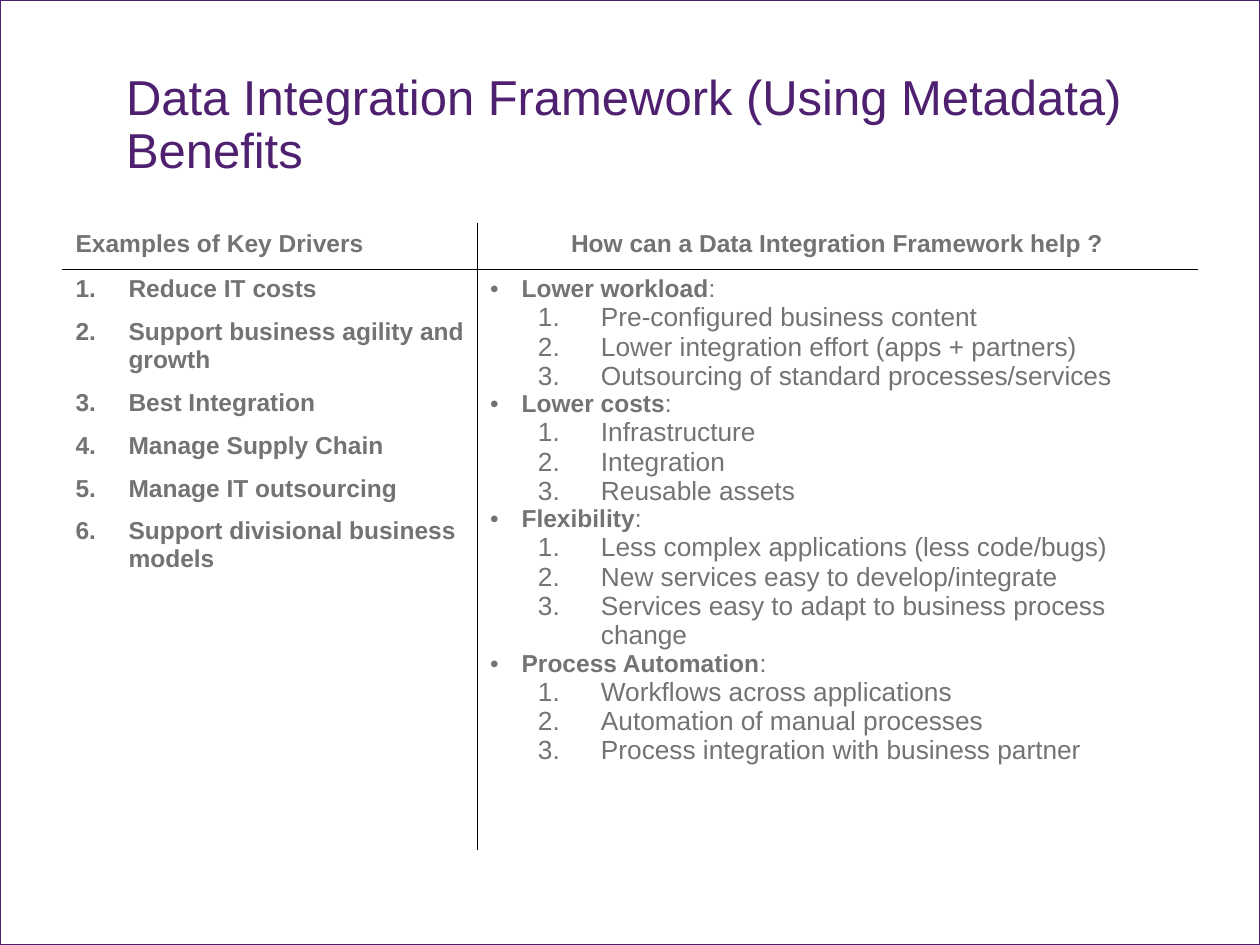
from lxml import etree
from pptx import Presentation, util as u
from pptx.dml.color import RGBColor
from pptx.enum import shapes, text
from pptx.oxml.ns import qn

COLORS = {"purple": "4F2070", "gray": "737373", "rule": "000000"}
DRIVERS = [
    "Reduce IT costs", "Support business agility and growth", "Best Integration",
    "Manage Supply Chain", "Manage IT outsourcing", "Support divisional business models",
]
BENEFITS = {
    "Lower workload": ["Pre-configured business content",
                       "Lower integration effort (apps + partners)",
                       "Outsourcing of standard processes/services"],
    "Lower costs": ["Infrastructure", "Integration", "Reusable assets"],
    "Flexibility": ["Less complex applications (less code/bugs)",
                    "New services easy to develop/integrate",
                    "Services easy to adapt to business process change"],
    "Process Automation": ["Workflows across applications",
                           "Automation of manual processes",
                           "Process integration with business partner"],
}
NUMBER = ("buAutoNum", {"type": "arabicPeriod"})
DOT = ("buChar", {"char": "•"})


class SlideBuilder:
    font = "Arial"

    def __init__(self, width, height):
        self.deck = Presentation()
        self.deck.slide_width, self.deck.slide_height = u.Inches(width), u.Inches(height)
        self.slide = self.deck.slides.add_slide(self.deck.slide_layouts[5])

    def area(self, left, top, width, height):
        """Turn shares of the slide into lengths."""
        w, h = self.deck.slide_width, self.deck.slide_height
        return int(left * w), int(top * h), int(width * w), int(height * h)

    def run(self, paragraph, wording, color, size, bold=False):
        run = paragraph.add_run()
        run.text = wording
        for key, value in {"name": self.font, "size": u.Pt(size), "bold": bold}.items():
            setattr(run.font, key, value)
        run.font.color.rgb = RGBColor.from_string(COLORS[color])

    def frame(self):
        border = self.slide.shapes.add_shape(
            shapes.MSO_SHAPE.RECTANGLE, *self.area(0, 0, 1, 1))
        border.shadow.inherit = False
        border.fill.background()
        border.line.color.rgb = RGBColor.from_string(COLORS["purple"])
        border.line.width = u.Pt(0.75)

    def title(self, wording, place):
        title = self.slide.shapes.title
        title.left, title.top, title.width, title.height = self.area(*place)
        body = title.text_frame
        for key, value in {"margin_left": 0, "margin_top": 0, "margin_right": 0,
                           "margin_bottom": 0, "word_wrap": True,
                           "auto_size": text.MSO_AUTO_SIZE.NONE,
                           "vertical_anchor": text.MSO_ANCHOR.TOP}.items():
            setattr(body, key, value)
        heading = body.paragraphs[0]
        heading.alignment, heading.line_spacing = text.PP_ALIGN.LEFT, 0.9
        self.run(heading, wording, "purple", 28)

    def table(self, place, widths, heights):
        grid = self.slide.shapes.add_table(
            len(heights), len(widths), *self.area(*place)).table
        grid.first_row = grid.horz_banding = False
        for column, share in zip(grid.columns, widths):
            column.width = int(share * self.deck.slide_width)
        for row, share in zip(grid.rows, heights):
            row.height = int(share * self.deck.slide_height)
        for r in range(len(heights)):
            for c in range(len(widths)):
                cell = grid.cell(r, c)
                cell.fill.background()
                self.rules(cell, ["R" if c == 0 else "L", "B" if r == 0 else "T"])
        return grid

    def rules(self, cell, sides):
        """Draw the inner borders of a cell, in the order the schema asks for."""
        properties = cell._tc.get_or_add_tcPr()
        for index, side in enumerate(sides):
            line = etree.Element(qn(f"a:ln{side}"), w=str(u.Pt(0.45)))
            fill = etree.SubElement(line, qn("a:solidFill"))
            etree.SubElement(fill, qn("a:srgbClr"), val=COLORS["rule"])
            properties.insert(index, line)

    def entry(self, cell, runs, bullet=None, margin=0, hang=0, level=0,
              before=0, align=text.PP_ALIGN.LEFT):
        """Add a paragraph of (wording, size, bold) runs to a cell."""
        body = cell.text_frame
        first = not body.paragraphs[0].runs
        paragraph = body.paragraphs[0] if first else body.add_paragraph()
        paragraph.level, paragraph.alignment = level, align
        if bullet:
            properties = paragraph._p.get_or_add_pPr()
            properties.set("marL", str(u.Inches(margin)))
            properties.set("indent", str(-u.Inches(hang)))
            color = etree.SubElement(properties, qn("a:buClr"))
            etree.SubElement(color, qn("a:srgbClr"), val=COLORS["gray"])
            etree.SubElement(properties, qn("a:buFont"), typeface=self.font)
            tag, attributes = bullet
            etree.SubElement(properties, qn(f"a:{tag}"), attributes)
        if before and not first:
            paragraph.space_before = u.Pt(before)
        for wording, size, bold in runs:
            self.run(paragraph, wording, "gray", size, bold)


def main():
    page = SlideBuilder(10, 7.5)
    page.frame()
    page.title("Data Integration Framework (Using Metadata) Benefits",
               (0.1, 0.077, 0.833, 0.09))
    grid = page.table((0.05, 0.237, 0.9, 0.663), (0.329, 0.571), (0.048, 0.615))

    page.entry(grid.cell(0, 0), [("Examples of Key Drivers", 14, True)])
    page.entry(grid.cell(0, 1), [("How can a Data Integration Framework help ?", 14, True)],
               align=text.PP_ALIGN.CENTER)
    for driver in DRIVERS:
        page.entry(grid.cell(1, 0), [(driver, 14, True)], NUMBER, 0.42, 0.42, before=8.8)
    for benefit, details in BENEFITS.items():
        page.entry(grid.cell(1, 1), [(benefit, 14, True), (":", 14, False)], DOT, 0.25, 0.25)
        for detail in details:
            page.entry(grid.cell(1, 1), [(detail, 15, False)], NUMBER, 0.88, 0.5, level=1)
    page.deck.save("out.pptx")


if __name__ == "__main__":
    main()
